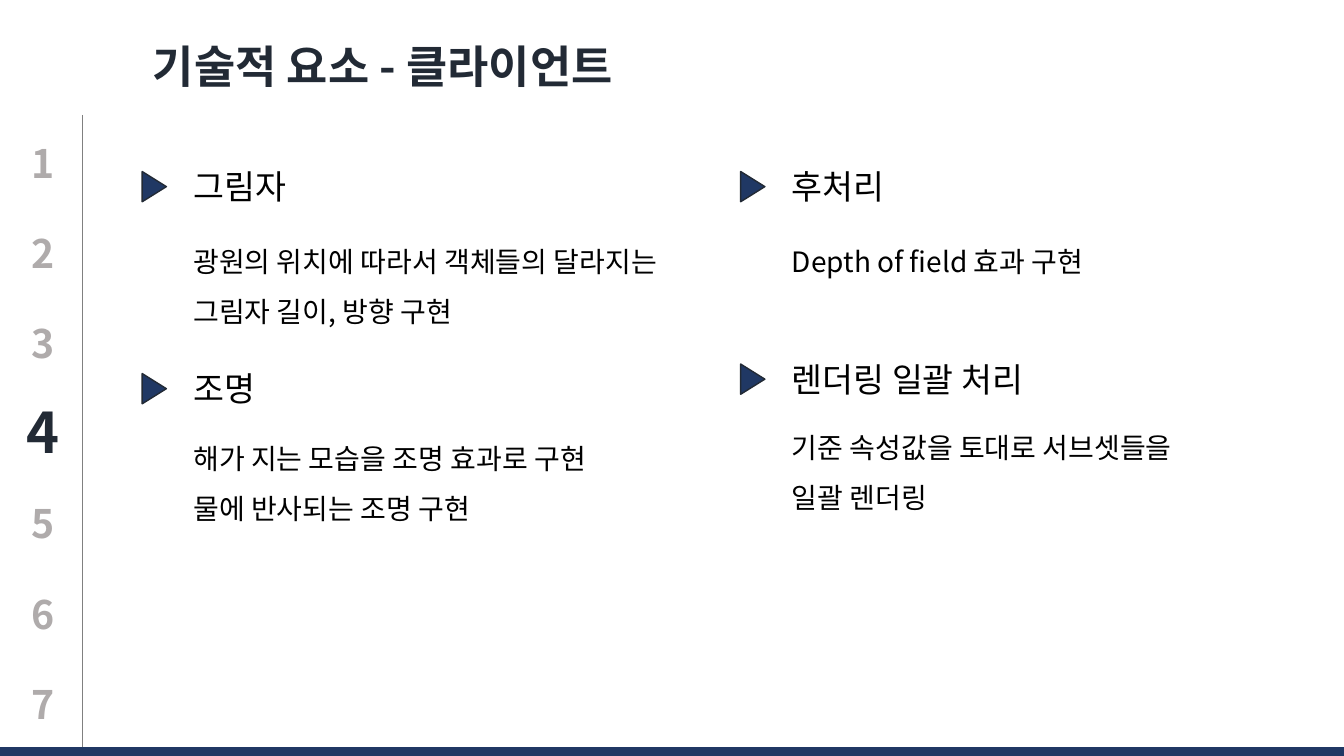
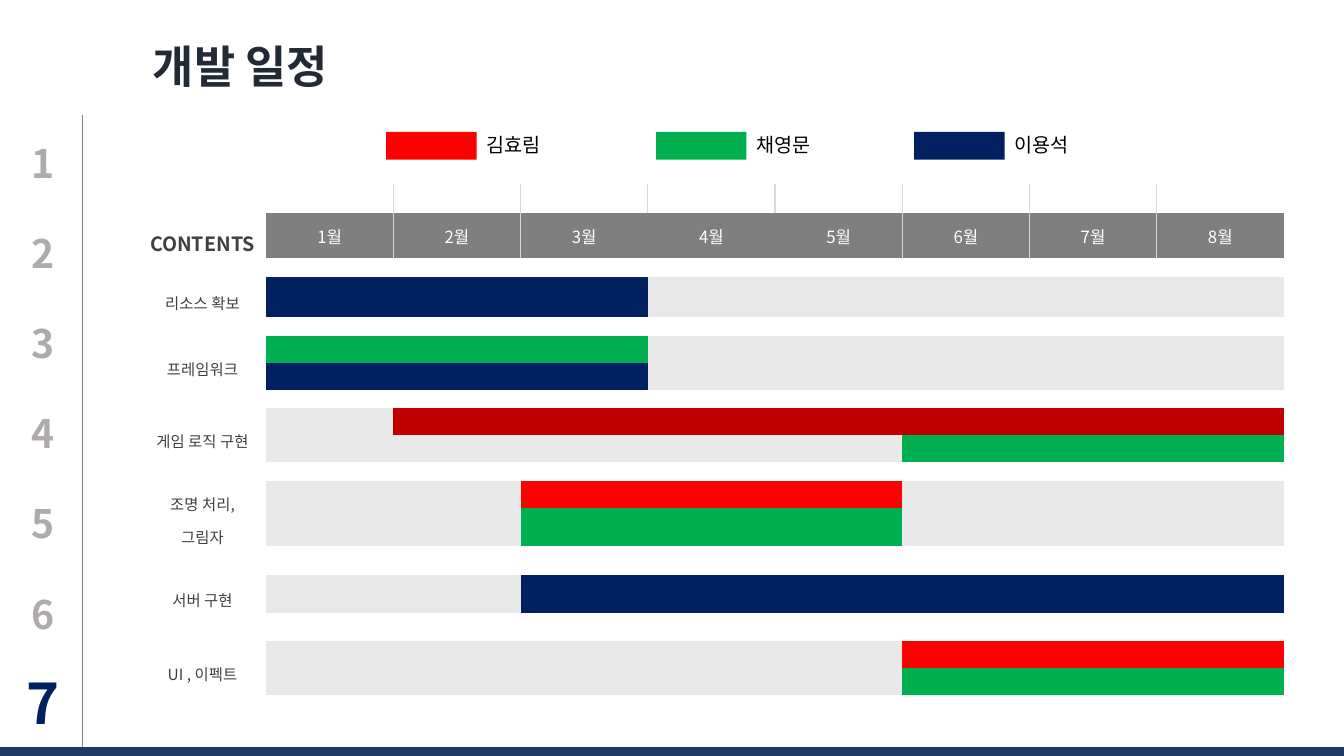
from lxml import etree
from pptx import Presentation
from pptx.dml.color import RGBColor
from pptx.enum.shapes import MSO_CONNECTOR, MSO_SHAPE
from pptx.enum.text import MSO_ANCHOR, PP_ALIGN
from pptx.oxml.ns import qn
from pptx.util import Pt

RECT = MSO_SHAPE.RECTANGLE
MARK = MSO_SHAPE.FLOWCHART_EXTRACT
STRAIGHT = MSO_CONNECTOR.STRAIGHT
CENTER = PP_ALIGN.CENTER
MIDDLE = MSO_ANCHOR.MIDDLE

FONT = "Noto Sans CJK KR"
BLACK = RGBColor(0x00, 0x00, 0x00)
WHITE = RGBColor(0xFF, 0xFF, 0xFF)
INK = RGBColor(0x22, 0x2A, 0x35)
BLUE = RGBColor(0x20, 0x38, 0x64)
NAVY = RGBColor(0x00, 0x20, 0x60)
RED = RGBColor(0xFF, 0x00, 0x00)
DARK_RED = RGBColor(0xC0, 0x00, 0x00)
GREEN = RGBColor(0x00, 0xB0, 0x50)
MUTED = RGBColor(0xAF, 0xAB, 0xAB)
RULE = RGBColor(0x80, 0x80, 0x80)
HEAD = RGBColor(0x7F, 0x7F, 0x7F)
LABEL = RGBColor(0x40, 0x40, 0x40)
TRACK = RGBColor(0xE9, 0xE9, 0xE9)
TICK = RGBColor(0xD9, 0xD9, 0xD9)

WIDE, HIGH = 960, 540
PAGES = 7

# Topics: left, heading top, body top, heading, body lines
TOPICS = [
    (131, 115.2, 159.1, "그림자",
     ["광원의 위치에 따라서 객체들의 달라지는", "그림자 길이, 방향 구현"]),
    (131, 259.5, 299.5, "조명",
     ["해가 지는 모습을 조명 효과로 구현", "물에 반사되는 조명 구현"]),
    (558.5, 115.2, 159.1, "후처리", ["Depth of field 효과 구현"]),
    (558.5, 252.7, 291.6, "렌더링 일괄 처리",
     ["기준 속성값을 토대로 서브셋들을", "일괄 렌더링"]),
]

# Legend: left, colour, name
LEGEND = [(275.8, RED, "김효림"), (468.6, GREEN, "채영문"),
          (653, NAVY, "이용석")]

# Schedule: label, gap above, lanes of (height, first month, last month, colour)
TASKS = [
    ("리소스 확보", 13.5, [(28.5, 1, 3, NAVY)]),
    ("프레임워크", 13.5, [(19.3, 1, 3, GREEN), (19.3, 1, 3, NAVY)]),
    ("게임 로직 구현", 13.2, [(19.3, 2, 8, DARK_RED), (19.3, 6, 8, GREEN)]),
    ("조명 처리, 그림자", 13.5, [(19.3, 3, 5, RED), (27, 3, 5, GREEN)]),
    ("서버 구현", 20.6, [(27.2, 3, 8, NAVY)]),
    ("UI , 이펙트", 20, [(19.3, 6, 8, RED), (19.3, 6, 8, GREEN)]),
]
MONTHS = 8
TICK_ROW, HEAD_ROW, LAST_ROW = 20.7, 32.2, 17.3
HEAD_TICKS = {1, 5, 6, 7}


def style(frame, lines, size, color, bold=False, space=None, align=None):
    frame.text = "\n".join(lines)
    for para in frame.paragraphs:
        para.line_spacing = space
        para.alignment = align
        for run in para.runs:
            font = run.font
            font.name, font.size, font.bold = FONT, Pt(size), bold
            font.color.rgb = color
            east = etree.SubElement(run._r.get_or_add_rPr(), qn("a:ea"))
            east.set("typeface", FONT)


def add_text(slide, box, lines, size, color, **look):
    frame = slide.shapes.add_textbox(*map(Pt, box)).text_frame
    frame.word_wrap = True
    style(frame, lines, size, color, **look)


def add_box(slide, kind, box, fill, line=None):
    shape = slide.shapes.add_shape(kind, *map(Pt, box))
    shape.shadow.inherit = False
    shape.fill.solid()
    shape.fill.fore_color.rgb = fill
    if line is None:
        shape.line.fill.background()
    else:
        shape.line.color.rgb = line
        shape.line.width = Pt(1)
    return shape


def add_page(deck, title, page, accent):
    slide = deck.slides.add_slide(deck.slide_layouts[6])
    # Side rule and bottom band
    rule = slide.shapes.add_connector(
        STRAIGHT, Pt(58.5), Pt(82), Pt(58.5), Pt(HIGH))
    rule.line.color.rgb = RULE
    rule.line.width = Pt(0.5)
    etree.SubElement(rule._element.spPr, qn("a:effectLst"))
    add_box(slide, RECT, (0, 534, WIDE, 7), BLUE, BLUE)
    # Title and page index
    add_text(slide, (102.2, 23.8, 492, 46), [title], 32, INK, bold=True)
    for num in range(1, PAGES + 1):
        top = 95.8 + 64.4 * (num - 1)
        if num == page:
            add_text(slide, (11.8, top - 8.5, 34, 55), [str(num)], 40,
                     accent, bold=True)
        else:
            add_text(slide, (15.1, top, 34, 41), [str(num)], 28,
                     MUTED, bold=True)
    return slide


def add_topics(slide):
    for left, top, body, head, lines in TOPICS:
        mark = add_box(slide, MARK, (left - 31.6, top + 9.5, 21.6, 17.3),
                       BLUE, INK)
        mark.rotation = 90
        add_text(slide, (left, top, 360, 36), [head], 24, BLACK)
        add_text(slide, (left, body, 386, 38 * len(lines)), lines, 20,
                 BLACK, space=1.5)


def paint(cell, color):
    cell.fill.solid()
    cell.fill.fore_color.rgb = color


def add_edge(cell, tag):
    edge = etree.Element(qn(tag), w=str(Pt(1)))
    fill = etree.SubElement(edge, qn("a:solidFill"))
    etree.SubElement(fill, qn("a:srgbClr"), val=str(TICK))
    cell._tc.get_or_add_tcPr().insert(0, edge)


def add_table(slide):
    heights = [TICK_ROW, HEAD_ROW]
    for _, gap, lanes in TASKS:
        heights += [gap] + [lane[0] for lane in lanes]
    heights.append(LAST_ROW)
    table = slide.shapes.add_table(
        len(heights), MONTHS + 1, Pt(99.2), Pt(131.6), Pt(818.1),
        Pt(sum(heights))).table
    table.first_row = table.horz_banding = False
    plain = table._tbl.tblPr.find(qn("a:tableStyleId"))
    plain.text = "{2D5ABB26-0587-4C30-8999-92F81FD0307C}"
    for col in table.columns:
        col.width = Pt(90.9)
    for row, height in zip(table.rows, heights):
        row.height = Pt(height)
    # Small type keeps empty rows low
    for cell in table.iter_cells():
        cell.margin_top = cell.margin_bottom = 0
        cell.vertical_anchor = MIDDLE
        cell.fill.background()
        para = cell.text_frame.paragraphs[0]._p
        etree.SubElement(para, qn("a:endParaRPr"), sz="600")

    # Month header
    style(table.cell(1, 0).text_frame, ["CONTENTS"], 14, LABEL, bold=True,
          space=1.5, align=CENTER)
    for month in range(1, MONTHS + 1):
        cell = table.cell(1, month)
        cell.margin_left = cell.margin_right = 0
        paint(cell, HEAD)
        style(cell.text_frame, [f"{month}월"], 12, WHITE, align=CENTER)
    for row, ticks in enumerate([set(range(1, MONTHS)), HEAD_TICKS]):
        for col in range(1, MONTHS + 1):
            if col in ticks:
                add_edge(table.cell(row, col), "a:lnR")
            if col - 1 in ticks:
                add_edge(table.cell(row, col), "a:lnL")

    # Task bars
    row = 2
    for label, _, lanes in TASKS:
        row += 1
        last = row + len(lanes) - 1
        for step, (_, start, end, color) in enumerate(lanes):
            for month in range(1, MONTHS + 1):
                busy = start <= month <= end
                paint(table.cell(row + step, month), color if busy else TRACK)
        if last > row:
            table.cell(row, 0).merge(table.cell(last, 0))
            for month in range(1, MONTHS + 1):
                if not any(lane[1] <= month <= lane[2] for lane in lanes):
                    table.cell(row, month).merge(table.cell(last, month))
        style(table.cell(row, 0).text_frame, [label], 11, LABEL,
              space=1.5, align=CENTER)
        row = last + 1


def add_legend(slide):
    for left, color, name in LEGEND:
        add_box(slide, RECT, (left, 94.2, 64.6, 19.8), color)
        add_text(slide, (left + 64.6, 91.5, 86, 24), [name], 14, BLACK)


def main():
    deck = Presentation()
    deck.slide_width, deck.slide_height = Pt(WIDE), Pt(HIGH)
    add_topics(add_page(deck, "기술적 요소 - 클라이언트", 4, INK))
    plan = add_page(deck, "개발 일정", 7, NAVY)
    add_table(plan)
    add_legend(plan)
    deck.save("out.pptx")


if __name__ == "__main__":
    main()
